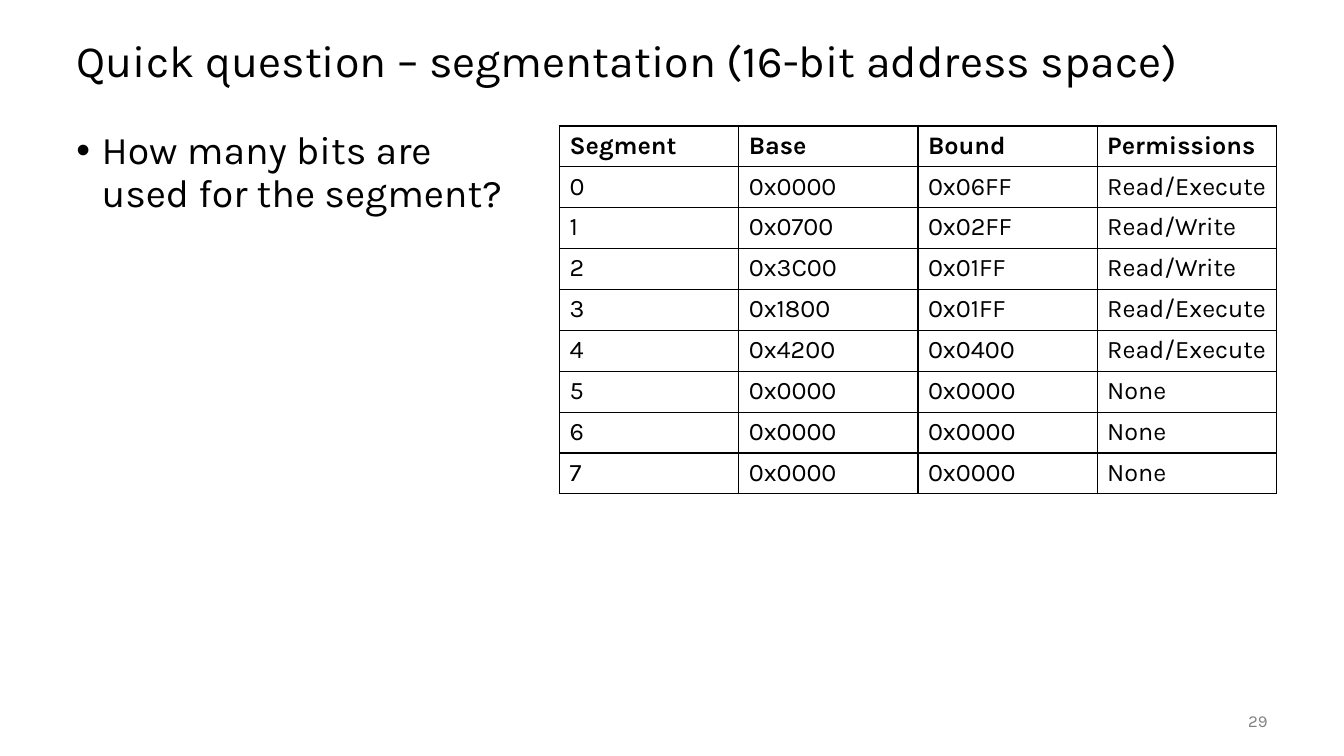
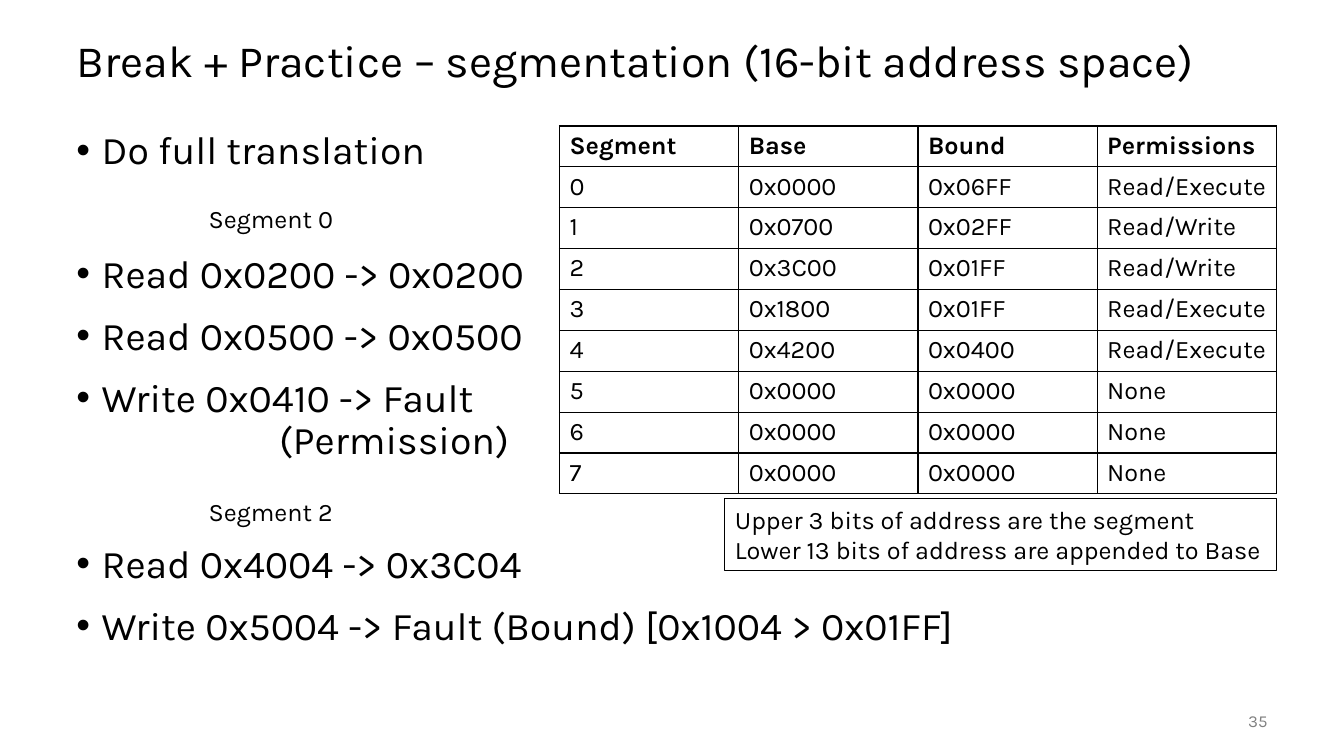
from lxml.etree import SubElement
from pptx import Presentation
from pptx.dml.color import RGBColor
from pptx.enum.shapes import MSO_SHAPE
from pptx.enum.text import MSO_ANCHOR, MSO_AUTO_SIZE, PP_ALIGN
from pptx.oxml.ns import qn
from pptx.util import Emu, Pt

PX = 9144
FONT = "Karla"
COLORS = {"ink": "000000", "page_number": "808080"}
SLIDE_SIZE = (1333, 750)
TITLE_BOX = (66, 25, 1200, 75)
PAGE_NUMBER_BOX = (1167, 695, 100, 40)
TABLE_BOX = (555, 125, 711, 365)
NOTE_BOX = (719, 495, 547, 71)
BODY_LEFT, BODY_TOP, BODY_HEIGHT = 66, 125, 550
LABEL_LEFT, LABEL_WIDTH, LABEL_HEIGHT = 197, 289, 40
BULLET_INDENT = 25
CONTINUATION_INDENT = 201
ITEM_GAP, GROUP_GAP = 14, 58

SEGMENTS = [
    ("Segment", "Base", "Bound", "Permissions"),
    ("0", "0x0000", "0x06FF", "Read/Execute"),
    ("1", "0x0700", "0x02FF", "Read/Write"),
    ("2", "0x3C00", "0x01FF", "Read/Write"),
    ("3", "0x1800", "0x01FF", "Read/Execute"),
    ("4", "0x4200", "0x0400", "Read/Execute"),
    ("5", "0x0000", "0x0000", "None"),
    ("6", "0x0000", "0x0000", "None"),
    ("7", "0x0000", "0x0000", "None"),
]

SLIDES = [
    {
        "title": "Quick question – segmentation (16-bit address space)",
        "number": "29",
        "body_width": 447,
        "body": [("bullet", "How many bits are used for the segment?")],
        "labels": [],
        "note": [],
    },
    {
        "title": "Break + Practice – segmentation (16-bit address space)",
        "number": "35",
        "body_width": 935,
        "body": [
            ("bullet", "Do full translation"),
            ("group", "Read 0x0200 -> 0x0200"),
            ("bullet", "Read 0x0500 -> 0x0500"),
            ("bullet", "Write 0x0410 -> Fault"),
            ("continuation", "(Permission)"),
            ("group", "Read 0x4004 -> 0x3C04"),
            ("bullet", "Write 0x5004 -> Fault (Bound) [0x1004 > 0x01FF]"),
        ],
        "labels": [("Segment 0", 197), ("Segment 2", 487)],
        "note": [
            "Upper 3 bits of address are the segment",
            "Lower 13 bits of address are appended to Base",
        ],
    },
]


def emu(*lengths):
    return [Emu(round(length * PX)) for length in lengths]


def add_run(paragraph, text, size, color="ink", bold=False):
    run = paragraph.add_run()
    run.text = text
    run.font.name = FONT
    run.font.size = Pt(size)
    run.font.bold = bold
    run.font.color.rgb = RGBColor.from_string(COLORS[color])


def next_paragraph(frame, index):
    return frame.add_paragraph() if index else frame.paragraphs[0]


def add_text_box(slide, box):
    frame = slide.shapes.add_textbox(*emu(*box)).text_frame
    frame.word_wrap = True
    return frame


def add_title(slide, text):
    title = slide.shapes.title
    title.left, title.top, title.width, title.height = emu(*TITLE_BOX)
    frame = title.text_frame
    frame.auto_size = MSO_AUTO_SIZE.NONE
    frame.vertical_anchor = MSO_ANCHOR.MIDDLE
    paragraph = frame.paragraphs[0]
    paragraph.alignment = PP_ALIGN.LEFT
    paragraph.line_spacing = 0.9
    add_run(paragraph, text, 32)


def set_indent(paragraph, kind):
    properties = paragraph._p.get_or_add_pPr()
    if kind == "continuation":
        properties.set("marL", str(CONTINUATION_INDENT * PX))
        properties.set("indent", "0")
        return
    properties.set("marL", str(BULLET_INDENT * PX))
    properties.set("indent", str(-BULLET_INDENT * PX))
    SubElement(properties, qn("a:buFont")).set("typeface", "Arial")
    SubElement(properties, qn("a:buChar")).set("char", "•")


def add_body(slide, items, width):
    gaps = {"bullet": ITEM_GAP, "group": GROUP_GAP, "continuation": 0}
    frame = add_text_box(slide, (BODY_LEFT, BODY_TOP, width, BODY_HEIGHT))
    for index, (kind, text) in enumerate(items):
        paragraph = next_paragraph(frame, index)
        set_indent(paragraph, kind)
        paragraph.line_spacing = 0.9
        paragraph.space_before = Pt(gaps[kind] if index else 0)
        add_run(paragraph, text, 28)


def add_page_number(slide, number):
    frame = add_text_box(slide, PAGE_NUMBER_BOX)
    frame.vertical_anchor = MSO_ANCHOR.MIDDLE
    paragraph = frame.paragraphs[0]
    paragraph.alignment = PP_ALIGN.RIGHT
    add_run(paragraph, number, 12, "page_number")


def add_borders(cell):
    properties = cell._tc.get_or_add_tcPr()
    for position, side in enumerate(("lnL", "lnR", "lnT", "lnB")):
        line = SubElement(properties, qn(f"a:{side}"))
        line.set("w", str(Pt(1)))
        fill = SubElement(line, qn("a:solidFill"))
        SubElement(fill, qn("a:srgbClr")).set("val", COLORS["ink"])
        properties.insert(position, line)


def add_segment_table(slide):
    row_count, column_count = len(SEGMENTS), len(SEGMENTS[0])
    frame = slide.shapes.add_table(row_count, column_count, *emu(*TABLE_BOX))
    table = frame.table
    table.first_row = table.horz_banding = False
    column_width, row_height = emu(TABLE_BOX[2] / column_count, TABLE_BOX[3] / row_count)
    for column in table.columns:
        column.width = column_width
    for row_index, values in enumerate(SEGMENTS):
        table.rows[row_index].height = row_height
        for column_index, value in enumerate(values):
            cell = table.cell(row_index, column_index)
            cell.fill.background()
            add_borders(cell)
            add_run(cell.text_frame.paragraphs[0], value, 18, bold=row_index == 0)


def add_note(slide, lines):
    shape = slide.shapes.add_shape(MSO_SHAPE.RECTANGLE, *emu(*NOTE_BOX))
    shape.shadow.inherit = False
    shape.fill.background()
    shape.line.color.rgb = RGBColor.from_string(COLORS["ink"])
    shape.line.width = Pt(0.75)
    frame = shape.text_frame
    frame.word_wrap = True
    frame.vertical_anchor = MSO_ANCHOR.TOP
    for index, text in enumerate(lines):
        paragraph = next_paragraph(frame, index)
        paragraph.alignment = PP_ALIGN.LEFT
        add_run(paragraph, text, 18)


def build_slide(presentation, content):
    slide = presentation.slides.add_slide(presentation.slide_layouts[5])
    add_title(slide, content["title"])
    add_body(slide, content["body"], content["body_width"])
    add_page_number(slide, content["number"])
    add_segment_table(slide)
    for text, top in content["labels"]:
        frame = add_text_box(slide, (LABEL_LEFT, top, LABEL_WIDTH, LABEL_HEIGHT))
        add_run(frame.paragraphs[0], text, 18)
    if content["note"]:
        add_note(slide, content["note"])


def main():
    presentation = Presentation()
    presentation.slide_width, presentation.slide_height = emu(*SLIDE_SIZE)
    for content in SLIDES:
        build_slide(presentation, content)
    presentation.save("out.pptx")


if __name__ == "__main__":
    main()
